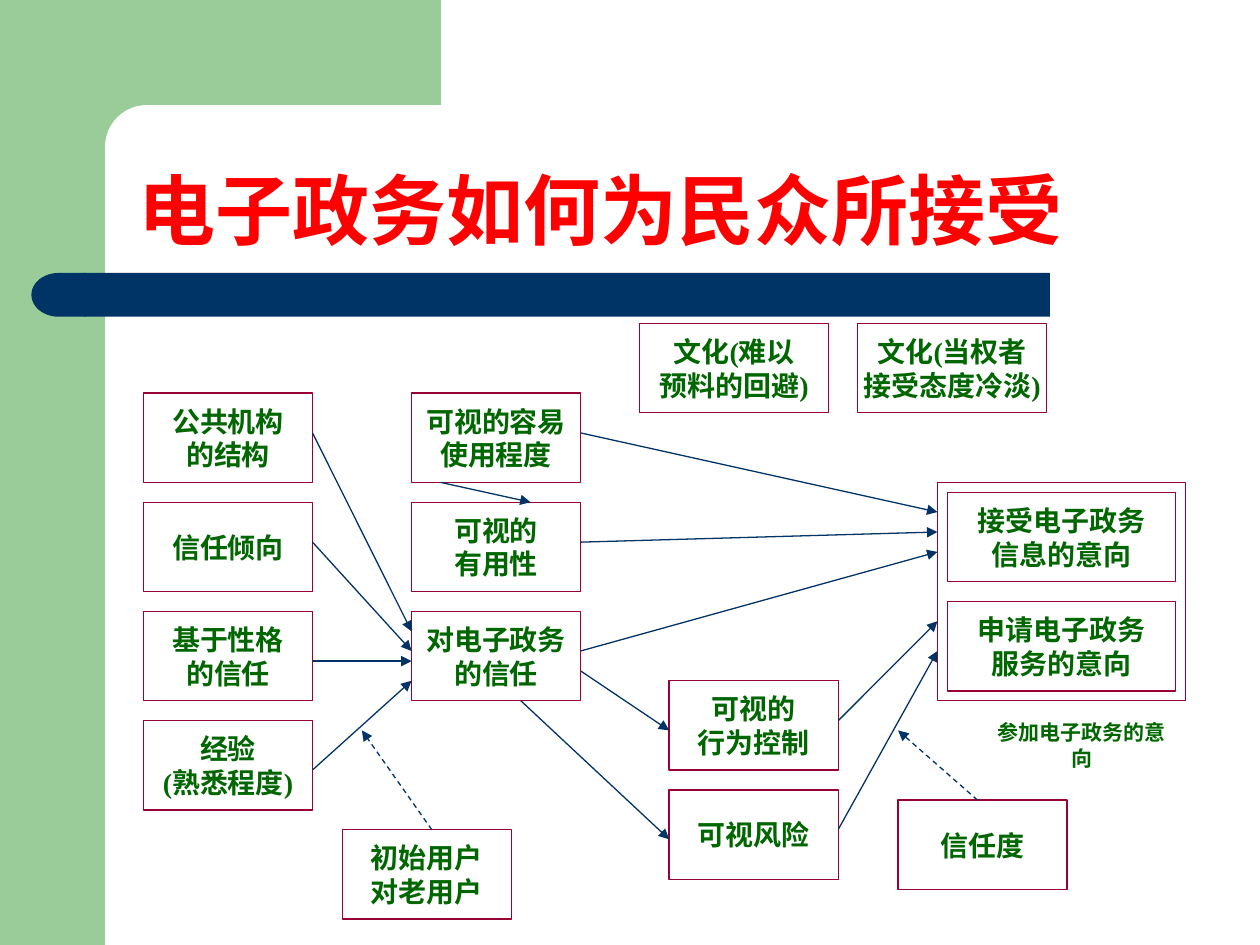
from pptx import Presentation
from pptx.dml.color import RGBColor
from pptx.enum.dml import MSO_LINE
from pptx.enum.shapes import MSO_CONNECTOR, MSO_SHAPE
from pptx.enum.text import MSO_ANCHOR, PP_ALIGN
from pptx.oxml.ns import qn
from pptx.util import Pt
from lxml.etree import SubElement

COLORS = {"mint": "99CC99", "navy": "003366", "white": "FFFFFF",
          "red": "FF0000", "green": "006600", "wine": "990033"}


def rgb(name):
    return RGBColor.from_string(COLORS[name])


def write(sp, text, size=16, font="Times New Roman", color="green",
          align=PP_ALIGN.CENTER, anchor=MSO_ANCHOR.MIDDLE, spacing=None):
    tf = sp.text_frame
    tf.word_wrap = False
    tf.vertical_anchor = anchor
    for i, line in enumerate(text.split("\n")):
        p = tf.paragraphs[0] if i == 0 else tf.add_paragraph()
        p.alignment = align
        p.line_spacing = spacing
        r = p.add_run()
        r.text = line
        r.font.size = Pt(size)
        r.font.name = font
        r.font.bold = True
        r.font.color.rgb = rgb(color)


prs = Presentation()
prs.slide_width, prs.slide_height = Pt(720), Pt(540)
s = prs.slides.add_slide(prs.slide_layouts[6])

# Background decoration
for kind, color, box in [
    (MSO_SHAPE.RECTANGLE, "mint", (0, 0, 60, 540)),
    (MSO_SHAPE.RECTANGLE, "mint", (54, 0, 198, 84)),
    (MSO_SHAPE.ROUNDED_RECTANGLE, "white", (60, 60, 402, 48)),
    (MSO_SHAPE.RECTANGLE, "navy", (48, 156, 552, 25)),
    (MSO_SHAPE.FLOWCHART_DELAY, "navy", (18, 156, 31, 25)),
]:
    sp = s.shapes.add_shape(kind, *map(Pt, box))
    sp.shadow.inherit = False
    sp.fill.solid()
    sp.fill.fore_color.rgb = rgb(color)
    sp.line.fill.background()
    if kind == MSO_SHAPE.ROUNDED_RECTANGLE:
        sp.adjustments[0] = 0.5
    if kind == MSO_SHAPE.FLOWCHART_DELAY:
        sp._element.spPr.find(qn("a:xfrm")).set("flipH", "1")

title = s.shapes.add_textbox(Pt(72), Pt(60), Pt(630), Pt(90))
write(title, "电子政务如何为民众所接受", size=44, font="Arial", color="red",
      align=PP_ALIGN.LEFT, anchor=MSO_ANCHOR.BOTTOM, spacing=0.9)

# Model boxes: left, top, width, text
BOX_W, BOX_H, STEP = 96.6, 51.1, 62.4
columns = [
    (82, 224.6, BOX_W, ["公共机构\n的结构", "信任倾向", "基于性格\n的信任", "经验\n(熟悉程度)"]),
    (235.2, 224.6, BOX_W, ["可视的容易\n使用程度", "可视的\n有用性", "对电子政务\n的信任"]),
    (195.6, 474, BOX_W, ["初始用户\n对老用户"]),
    (382.4, 389, BOX_W, ["可视的\n行为控制", "可视风险"]),
    (541.4, 281.3, 130.4, ["接受电子政务\n信息的意向", "申请电子政务\n服务的意向"]),
    (365.6, 184.8, 108, ["文化(难以\n预料的回避)"]),
    (490.2, 184.8, 108, ["文化(当权者\n接受态度冷淡)"]),
    (513.2, 457.2, BOX_W, ["信任度"]),
]
boxes = [(left, top + i * STEP, width, BOX_H, text)
         for left, top, width, texts in columns
         for i, text in enumerate(texts)]
boxes.append((535.7, 275.7, 141.8, 124.6, None))  # frame around both intentions

for left, top, width, height, text in boxes:
    sp = s.shapes.add_shape(MSO_SHAPE.RECTANGLE, Pt(left), Pt(top), Pt(width), Pt(height))
    sp.shadow.inherit = False
    sp.line.color.rgb = rgb("wine")
    sp.line.width = Pt(0.75)
    if text:
        sp.fill.solid()
        sp.fill.fore_color.rgb = rgb("white")
        write(sp, text)
    else:
        sp.fill.background()

# Arrows: x1, y1, x2, y2, dashed
CAUSE, TRUST, TRUST_OUT, RISK, RISK_OUT, INTENT = 178.6, 235.2, 331.8, 382.4, 479, 535.7
arrows = [
    (CAUSE, 247.4, TRUST, 360.8, False),
    (CAUSE, 309.8, TRUST, 372, False),
    (CAUSE, 377.8, TRUST, 377.8, False),
    (CAUSE, 440, TRUST, 389, False),
    (252, 275.7, 303.2, 287, False),
    (TRUST_OUT, 247.4, INTENT, 292.6, False),
    (TRUST_OUT, 309.8, INTENT, 304, False),
    (TRUST_OUT, 372, INTENT, 315.4, False),
    (TRUST_OUT, 383.4, RISK, 417.4, False),
    (297.6, 400.4, RISK, 479.6, False),
    (RISK_OUT, 411.8, INTENT, 355, False),
    (RISK_OUT, 474, INTENT, 372, False),
    (558.6, 457.2, 513.2, 417.4, True),
    (246.8, 474.2, 206.8, 417.4, True),
]
for *ends, dashed in arrows:
    c = s.shapes.add_connector(MSO_CONNECTOR.STRAIGHT, *map(Pt, ends))
    c.line.color.rgb = rgb("navy")
    c.line.width = Pt(0.75)
    if dashed:
        c.line.dash_style = MSO_LINE.DASH
    SubElement(c.line._get_or_add_ln(), qn("a:tailEnd"), type="triangle")
    SubElement(c._element.spPr, qn("a:effectLst"))

label = s.shapes.add_textbox(Pt(558.6), Pt(411.8), Pt(118.8), Pt(28))
write(label, "参加电子政务的意向", size=12)

prs.save("out.pptx")
